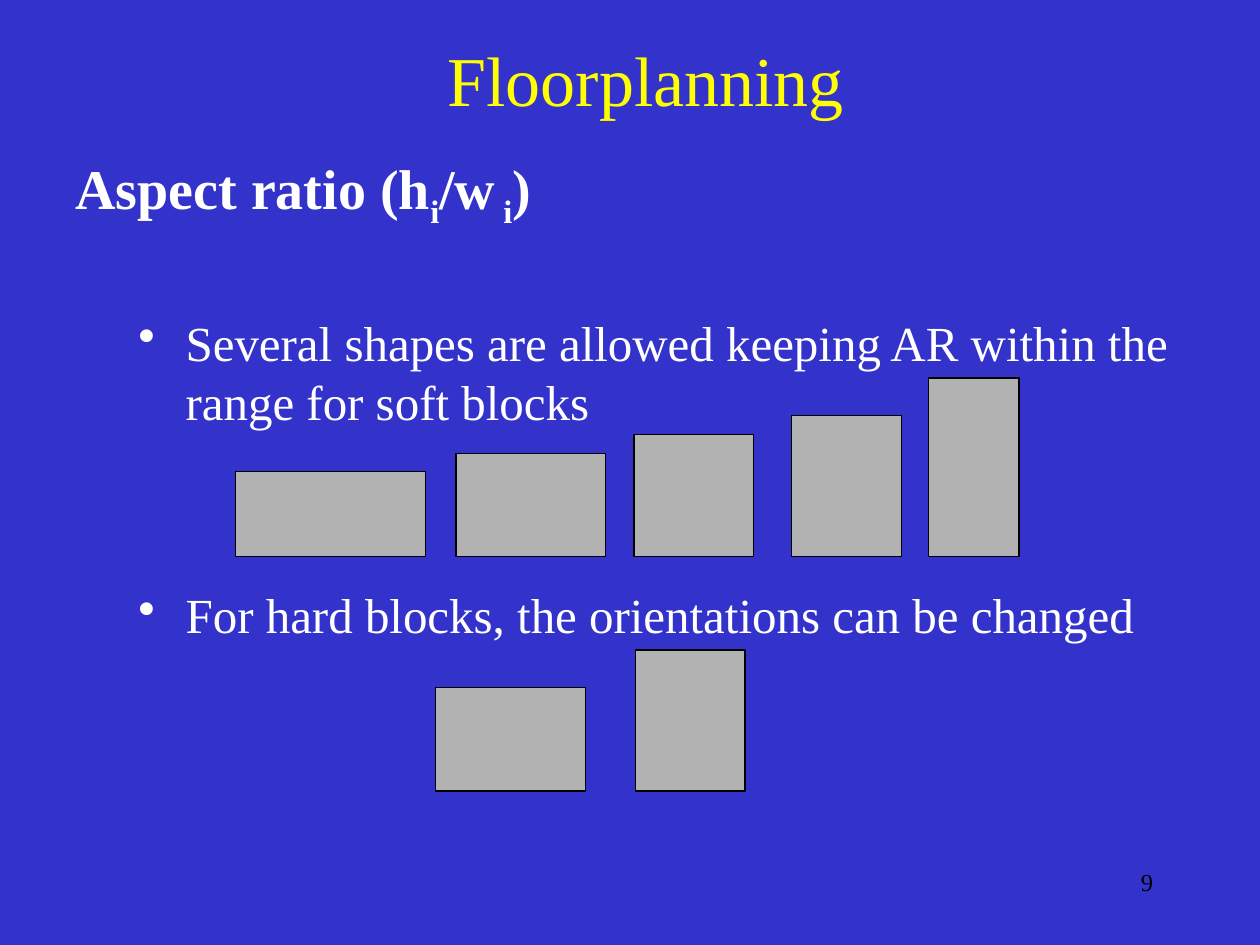
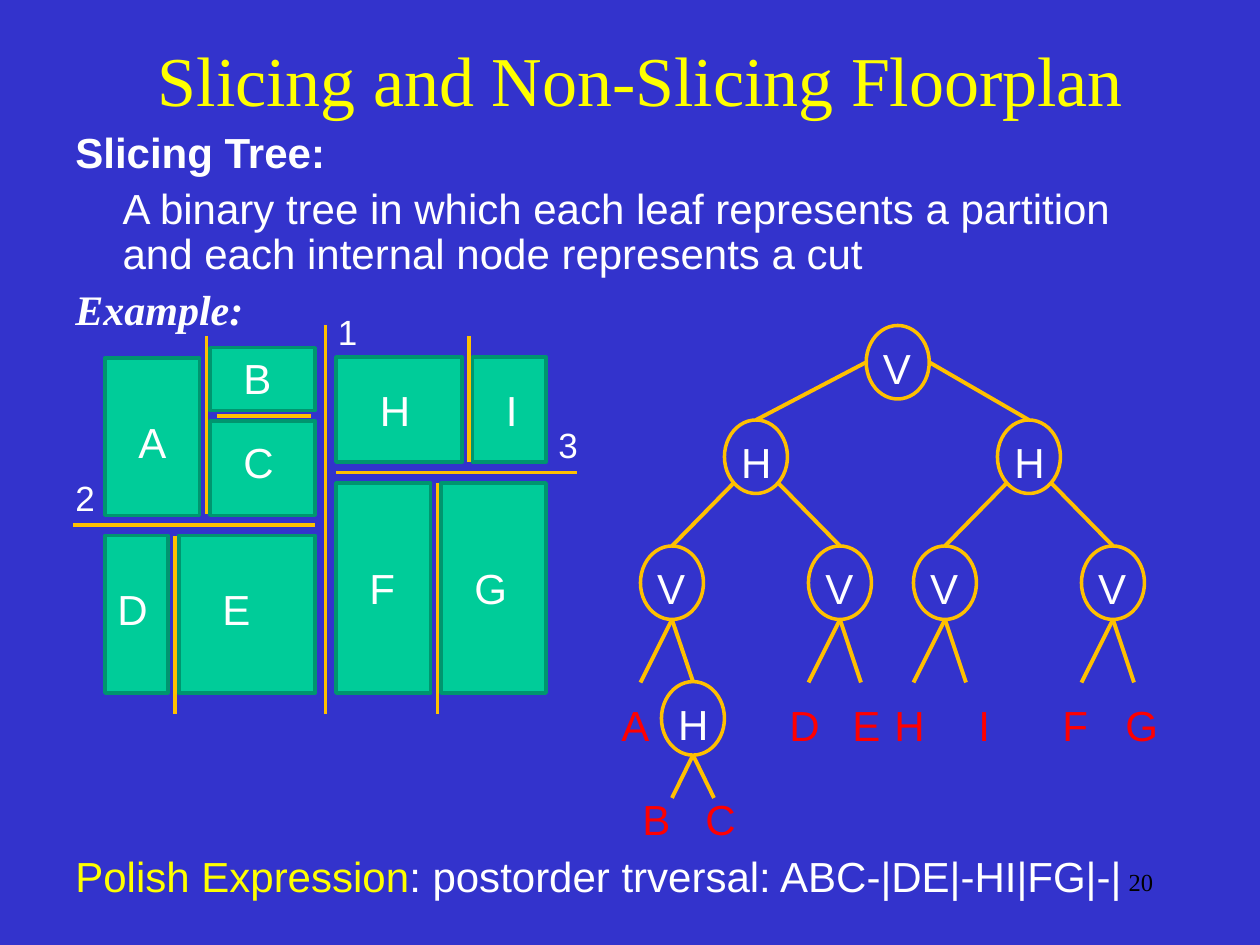
from dataclasses import dataclass

from lxml.etree import SubElement
from pptx import Presentation
from pptx.dml.color import RGBColor
from pptx.enum.shapes import MSO_CONNECTOR as Connector, MSO_SHAPE as Preset
from pptx.enum.text import MSO_ANCHOR as Anchor, PP_ALIGN as Align
from pptx.oxml.ns import qn
from pptx.util import Pt

BLUE = RGBColor(0x33, 0x33, 0xCC)
YELLOW = RGBColor(0xFF, 0xFF, 0x00)
WHITE = RGBColor(0xFF, 0xFF, 0xFF)
BLACK = RGBColor(0x00, 0x00, 0x00)
GREY = RGBColor(0xB2, 0xB2, 0xB2)
GREEN = RGBColor(0x00, 0xCC, 0x99)
DARK_GREEN = RGBColor(0x00, 0x95, 0x6F)
GOLD = RGBColor(0xFF, 0xC0, 0x00)
RED = RGBColor(0xFF, 0x00, 0x00)
SERIF = "Times New Roman"
SANS = "Arial"
HANGING = 27
NODE_WIDTH, NODE_HEIGHT = 36, 42


@dataclass
class Box:
    left: float
    top: float
    width: float
    height: float

    def inside(self, left, top, width, height):
        return Box(self.left + left, self.top + top, width, height)

    def lengths(self):
        return [Pt(n) for n in (self.left, self.top, self.width, self.height)]


@dataclass
class Leaf:
    letter: str
    x: float  # end of its edge
    top: float
    label_left: float
    label_top: float = 210


@dataclass
class Node:
    cut: str
    x: float
    top: float
    children: tuple


# Shared parts

def add_text(slide, box, anchor=Anchor.TOP):
    text_frame = slide.shapes.add_textbox(*box.lengths()).text_frame
    text_frame.word_wrap = True
    text_frame.vertical_anchor = anchor
    return text_frame


def style_run(run, size, font=SANS, color=WHITE, bold=False, italic=False):
    run.font.size = Pt(size)
    run.font.name = font
    run.font.color.rgb = color
    run.font.bold = bold
    run.font.italic = italic


def add_label(slide, box, text, size=24, font=SANS, color=WHITE,
              align=Align.LEFT, anchor=Anchor.TOP):
    text_frame = add_text(slide, box, anchor)
    text_frame.text = text
    paragraph = text_frame.paragraphs[0]
    paragraph.alignment = align
    style_run(paragraph.runs[0], size, font, color)


def set_indent(paragraph, left, first=0):
    properties = paragraph._p.get_or_add_pPr()
    properties.set("marL", str(Pt(left)))
    properties.set("indent", str(Pt(first)))
    return properties


def add_bullet(paragraph, left):
    properties = set_indent(paragraph, left, -HANGING)
    color = SubElement(properties, qn("a:buClr"))
    SubElement(color, qn("a:srgbClr")).set("val", str(WHITE))
    SubElement(properties, qn("a:buChar")).set("char", "•")


def add_preset(slide, preset, box, line_color, line_width, fill=None):
    shape = slide.shapes.add_shape(preset, *box.lengths())
    shape.shadow.inherit = False
    if fill is None:
        shape.fill.background()
    else:
        shape.fill.solid()
        shape.fill.fore_color.rgb = fill
    shape.line.color.rgb = line_color
    shape.line.width = Pt(line_width)


def add_line(slide, box, x1, y1, x2, y2):
    line = slide.shapes.add_connector(
        Connector.STRAIGHT, Pt(box.left + x1), Pt(box.top + y1),
        Pt(box.left + x2), Pt(box.top + y2))
    line.line.color.rgb = GOLD
    line.line.width = Pt(2.25)
    SubElement(line._element.spPr, qn("a:effectLst"))


def add_slide(presentation, title, title_box, number):
    slide = presentation.slides.add_slide(presentation.slide_layouts[6])
    slide.background.fill.solid()
    slide.background.fill.fore_color.rgb = BLUE
    add_label(slide, title_box, title, 40, SERIF, YELLOW, Align.CENTER, Anchor.MIDDLE)
    add_label(slide, Box(516, 492, 150, 36), number, 14, SERIF, BLACK, Align.RIGHT)
    return slide


# Aspect ratio slide

def add_aspect_text(slide, box):
    text_frame = add_text(slide, box)
    heading = text_frame.paragraphs[0]
    set_indent(heading, HANGING, -HANGING)
    for text, offset in (("Aspect ratio (h", 0), ("i", -25000), ("/w", 0),
                         (" i", -25000), (")", 0)):
        run = heading.add_run()
        run.text = text
        style_run(run, 32, SERIF, bold=True)
        if offset:
            run._r.get_or_add_rPr().set("baseline", str(offset))

    bullets = (
        ("Several shapes are allowed keeping AR within the range for soft blocks", 47.6),
        ("For hard blocks, the orientations can be changed", 88.2),
    )
    for text, space in bullets:
        paragraph = text_frame.add_paragraph()
        paragraph.text = text
        paragraph.space_before = Pt(space)
        add_bullet(paragraph, 63)
        style_run(paragraph.runs[0], 28, SERIF)


def add_blocks(slide, box, blocks):
    """Stand (left, width, height) blocks on the bottom of the box."""
    for left, width, height in blocks:
        block = box.inside(left, box.height - height, width, height)
        add_preset(slide, Preset.RECTANGLE, block, BLACK, 0.75, GREY)


def build_aspect_slide(presentation):
    slide = add_slide(presentation, "Floorplanning", Box(96, 12, 546, 66), "9")
    add_aspect_text(slide, Box(36, 84, 648, 66))
    add_blocks(slide, Box(134.5, 216, 448, 102), (
        (0, 108.7, 48.5), (126, 85.7, 59), (227.7, 68.4, 69.8),
        (318, 62.6, 80.6), (396, 51.8, 102)))
    add_blocks(slide, Box(249, 371.5, 177, 80.5), (
        (0, 85.7, 59), (114.2, 62.6, 80.6)))


# Slicing slide

def add_definition(slide, box):
    text_frame = add_text(slide, box)
    lines = (
        ("Slicing Tree:", 0, SANS, True, False),
        ("A binary tree in which each leaf represents a partition and each "
         "internal node represents a cut", HANGING, SANS, False, False),
        ("Example:", 0, SERIF, True, True),
    )
    for index, (text, indent, font, bold, italic) in enumerate(lines):
        paragraph = text_frame.add_paragraph() if index else text_frame.paragraphs[0]
        paragraph.text = text
        paragraph.line_spacing = 0.9
        if index:
            paragraph.space_before = Pt(6)
        set_indent(paragraph, indent)
        style_run(paragraph.runs[0], 24, font, bold=bold, italic=italic)


def add_floorplan(slide, box):
    # name, left, top, width, height, label left, label top
    rooms = (
        ("A", 24, 30.5, 54, 90, 36, 60.7),
        ("D", 24, 132, 36, 90, 24, 155.8),
        ("E", 66.2, 132, 78, 90, 84, 155.8),
        ("B", 84, 24.7, 60, 36, 96, 24),
        ("C", 84, 66.5, 60, 54, 96, 72.2),
        ("F", 156, 102, 54, 120, 168, 144),
        ("G", 216, 102, 60, 120, 228, 144),
        ("H", 156, 30, 72, 60, 174, 42),
        ("I", 234, 30, 42, 60, 246, 42),
    )
    for name, left, top, width, height, label_left, label_top in rooms:
        add_preset(slide, Preset.RECTANGLE, box.inside(left, top, width, height),
                   DARK_GREEN, 2, GREEN)
        add_label(slide, box.inside(label_left, label_top, 30, 36), name)

    vertical_cuts = ((150, 12, 234), (82, 18, 120), (64, 132, 234),
                     (232, 18, 90), (214, 102, 234))
    for x, top, bottom in vertical_cuts:
        add_line(slide, box, x, top, x, bottom)
    for y, left, right in ((126, 6, 144), (96, 156, 294), (63.5, 88, 142)):
        add_line(slide, box, left, y, right, y)
    for number, left, top in (("1", 150, 0), ("2", 0, 94.5), ("3", 276, 64.5)):
        add_label(slide, box.inside(left, top, 30, 32), number, 20)


def add_branch(slide, box, item, depth=0):
    """Draw a node with its edges and everything below it."""
    if isinstance(item, Leaf):
        add_label(slide, box.inside(item.label_left, item.label_top, 30, 36),
                  item.letter, color=RED)
        return
    left = item.x - NODE_WIDTH / 2
    add_preset(slide, Preset.OVAL,
               box.inside(left, item.top, NODE_WIDTH, NODE_HEIGHT), GOLD, 2)
    add_label(slide, box.inside(left + 2.5, item.top + 6, 30, 36), item.cut)
    # Edges leave from the sides, the lower corners, then the bottom
    exit_x, exit_y = ((18, 21), (12.7, 36))[depth] if depth < 2 else (0, NODE_HEIGHT)
    for side, child in zip((-1, 1), item.children):
        add_line(slide, box, item.x + side * exit_x, item.top + exit_y,
                 child.x, child.top)
        add_branch(slide, box, child, depth + 1)


def add_tree(slide, box):
    inner = Node("H", 48, 203.5, (Leaf("B", 36, 270, 12, 264),
                                  Leaf("C", 60, 270, 48, 264)))
    left = Node("H", 84, 54, (
        Node("V", 36, 126, (Leaf("A", 18, 204, 0), inner)),
        Node("V", 132, 126, (Leaf("D", 114, 204, 96), Leaf("E", 144, 204, 132)))))
    right = Node("H", 240, 54, (
        Node("V", 192, 126, (Leaf("H", 174, 204, 156), Leaf("I", 204, 204, 204))),
        Node("V", 288, 126, (Leaf("F", 270, 204, 252), Leaf("G", 300, 204, 288)))))
    add_branch(slide, box, Node("V", 165, 0, (left, right)))


def add_expression(slide, box):
    paragraph = add_text(slide, box).paragraphs[0]
    paragraph.line_spacing = 0.9
    set_indent(paragraph, HANGING, -HANGING)
    for text, color in (("Polish Expression", YELLOW),
                        (": postorder trversal: ABC-|DE|-HI|FG|-|", WHITE)):
        run = paragraph.add_run()
        run.text = text
        style_run(run, 24, color=color)


def build_slicing_slide(presentation):
    slide = add_slide(presentation, "Slicing and Non-Slicing Floorplan",
                      Box(72, 12, 588, 66), "20")
    add_definition(slide, Box(36, 72, 630, 126))
    add_floorplan(slide, Box(36, 174, 306, 234))
    add_tree(slide, Box(348, 186, 318, 300))
    add_expression(slide, Box(36, 486, 630, 42))


def main():
    presentation = Presentation()
    presentation.slide_width = Pt(720)
    presentation.slide_height = Pt(540)
    build_aspect_slide(presentation)
    build_slicing_slide(presentation)
    presentation.save("out.pptx")


if __name__ == "__main__":
    main()
